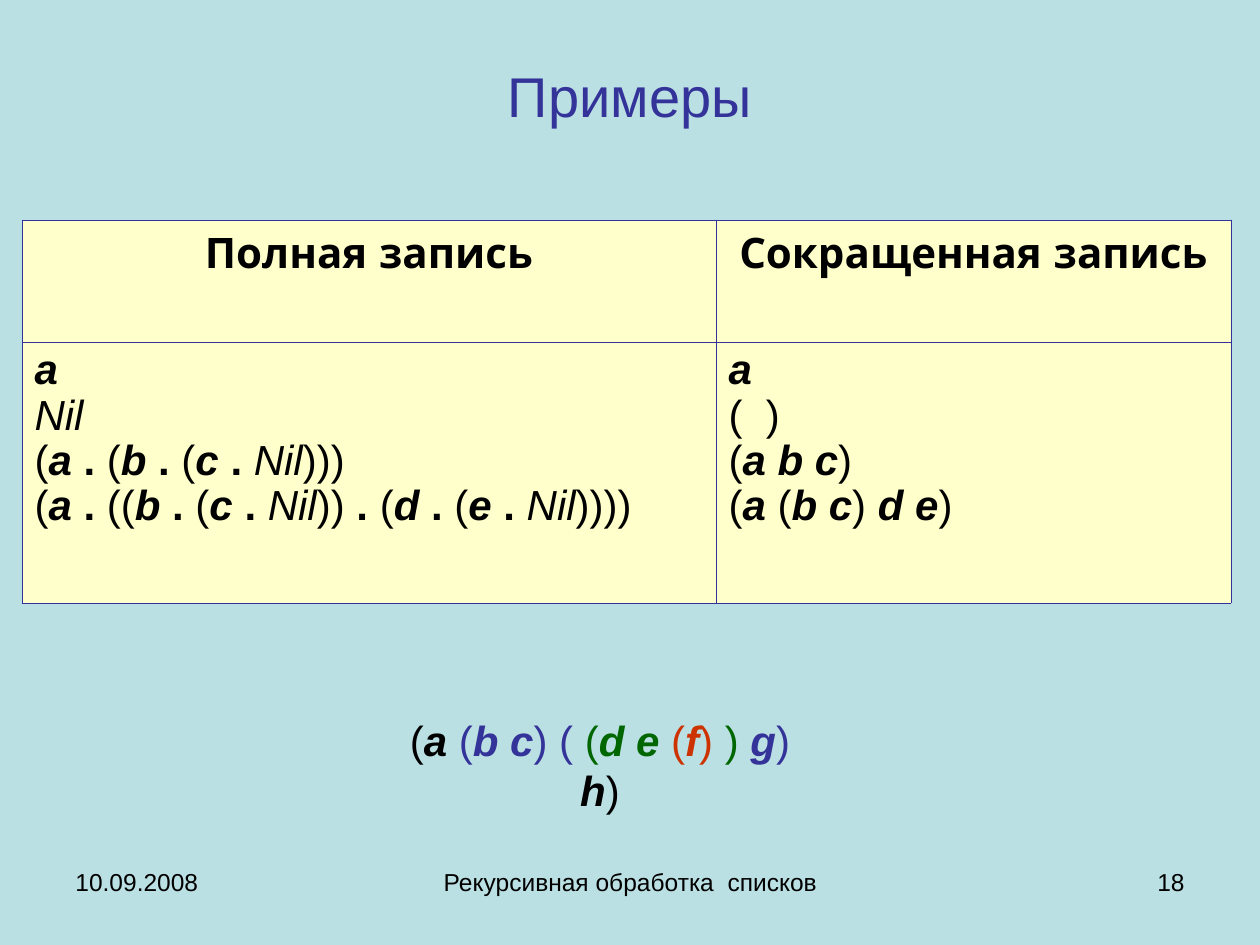
from dataclasses import dataclass
from itertools import groupby

from lxml import etree
from pptx import Presentation
from pptx import util as u
from pptx.dml.color import RGBColor
from pptx.enum import text
from pptx.oxml import ns

ALIGN = text.PP_ALIGN


@dataclass(frozen=True)
class Theme:
    background: str = "BBE0E3"
    accent: str = "333399"
    ink: str = "000000"
    cell: str = "FFFFCC"
    green: str = "006600"
    red: str = "CC3300"
    body_font: str = "Arial"
    header_font: str = "Quicksand"
    title_size: int = 32
    body_size: int = 24
    footer_size: int = 14
    border_width: float = 0.45
    line_spacing: float = 0.97


def px(length):
    return u.Emu(round(length * 914400 / 126))


def rgb(value):
    return RGBColor.from_string(value)


def token_kind(char):
    return "word" if char.isalpha() else "dot" if char == "." else "other"


class SlideBuilder:
    def __init__(self, presentation, theme):
        self.theme = theme
        self.slide = presentation.slides.add_slide(presentation.slide_layouts[5])
        fill = self.slide.background.fill
        fill.solid()
        fill.fore_color.rgb = rgb(theme.background)

    def style(self, paragraph, size, color=None, align=ALIGN.LEFT, font=None):
        paragraph.alignment = align
        paragraph.font.size = u.Pt(size)
        paragraph.font.name = font or self.theme.body_font
        if color:
            paragraph.font.color.rgb = rgb(color)

    def title(self, wording, left, top, width, height):
        title = self.slide.shapes.title
        title.left, title.top, title.width, title.height = map(px, (left, top, width, height))
        title.text_frame.text = wording
        title.text_frame.vertical_anchor = text.MSO_ANCHOR.MIDDLE
        self.style(title.text_frame.paragraphs[0], self.theme.title_size,
                   self.theme.accent, ALIGN.CENTER)

    def text_box(self, left, top, width, height, wrap=True):
        frame = self.slide.shapes.add_textbox(*map(px, (left, top, width, height))).text_frame
        frame.word_wrap = wrap
        return frame

    def footer(self, wording, left, width, align):
        paragraph = self.text_box(left, 861, width, 66).paragraphs[0]
        paragraph.text = wording
        self.style(paragraph, self.theme.footer_size, self.theme.ink, align)

    def expression(self, paragraph, source, color):
        """Set atoms in bold italic, Nil in italic and the pair dot in bold."""
        for kind, chars in groupby(source, token_kind):
            token = "".join(chars)
            run = paragraph.add_run()
            run.text = token
            run.font.bold = kind == "dot" or (kind == "word" and token != "Nil")
            run.font.italic = kind == "word"
            run.font.color.rgb = rgb(color)

    def colored_expression(self, parts, left, top, width, height):
        frame = self.text_box(left, top, width, height, wrap=False)
        frame.auto_size = text.MSO_AUTO_SIZE.SHAPE_TO_FIT_TEXT
        paragraph = frame.paragraphs[0]
        self.style(paragraph, self.theme.body_size, align=ALIGN.CENTER)
        for source, color in parts:
            self.expression(paragraph, source, color)

    def cell_box(self, cell):
        properties = cell._tc.get_or_add_tcPr()
        for side in ("lnL", "lnR", "lnT", "lnB"):
            line = etree.SubElement(properties, ns.qn(f"a:{side}"),
                                    w=str(u.Pt(self.theme.border_width)))
            solid = etree.SubElement(line, ns.qn("a:solidFill"))
            etree.SubElement(solid, ns.qn("a:srgbClr"), val=self.theme.accent)
        cell.fill.solid()
        cell.fill.fore_color.rgb = rgb(self.theme.cell)

    def notation_table(self, columns, left, top, widths, heights):
        theme = self.theme
        table = self.slide.shapes.add_table(
            len(heights), len(widths),
            *map(px, (left, top, sum(widths), sum(heights)))).table
        for row, height in zip(table.rows, heights):
            row.height = px(height)
        for index, (heading, expressions) in enumerate(columns):
            table.columns[index].width = px(widths[index])
            header, body = table.cell(0, index), table.cell(1, index)
            self.cell_box(header)
            self.cell_box(body)
            header.text = heading
            paragraph = header.text_frame.paragraphs[0]
            self.style(paragraph, theme.body_size, theme.ink, ALIGN.CENTER, theme.header_font)
            paragraph.font.bold = True
            for number, source in enumerate(expressions):
                frame = body.text_frame
                paragraph = frame.add_paragraph() if number else frame.paragraphs[0]
                paragraph.line_spacing = theme.line_spacing
                self.style(paragraph, theme.body_size)
                self.expression(paragraph, source, theme.ink)


def main():
    theme = Theme()
    presentation = Presentation()
    presentation.slide_width, presentation.slide_height = px(1260), px(945)
    builder = SlideBuilder(presentation, theme)
    builder.title("Примеры", 63, 38, 1134, 115)
    builder.notation_table(
        [
            ("Полная запись",
             ["a", "Nil", "(a . (b . (c . Nil)))",
              "(a . ((b . (c . Nil)) . (d . (e . Nil))))"]),
            ("Сокращенная запись",
             ["a", "(  )", "(a b c)", "(a (b c) d e)"]),
        ],
        22, 220, widths=(694, 515), heights=(122, 261))
    builder.colored_expression(
        [("(a ", theme.ink), ("(b c) ( ", theme.accent), ("(d e ", theme.green),
         ("(f) ", theme.red), (") ", theme.green), ("g) ", theme.accent),
         ("h)", theme.ink)],
        372, 708, 456, 63)
    builder.footer("10.09.2008", 63, 294, ALIGN.LEFT)
    builder.footer("Рекурсивная обработка  списков", 431, 399, ALIGN.CENTER)
    builder.footer("18", 903, 294, ALIGN.RIGHT)
    presentation.save("out.pptx")


if __name__ == "__main__":
    main()
